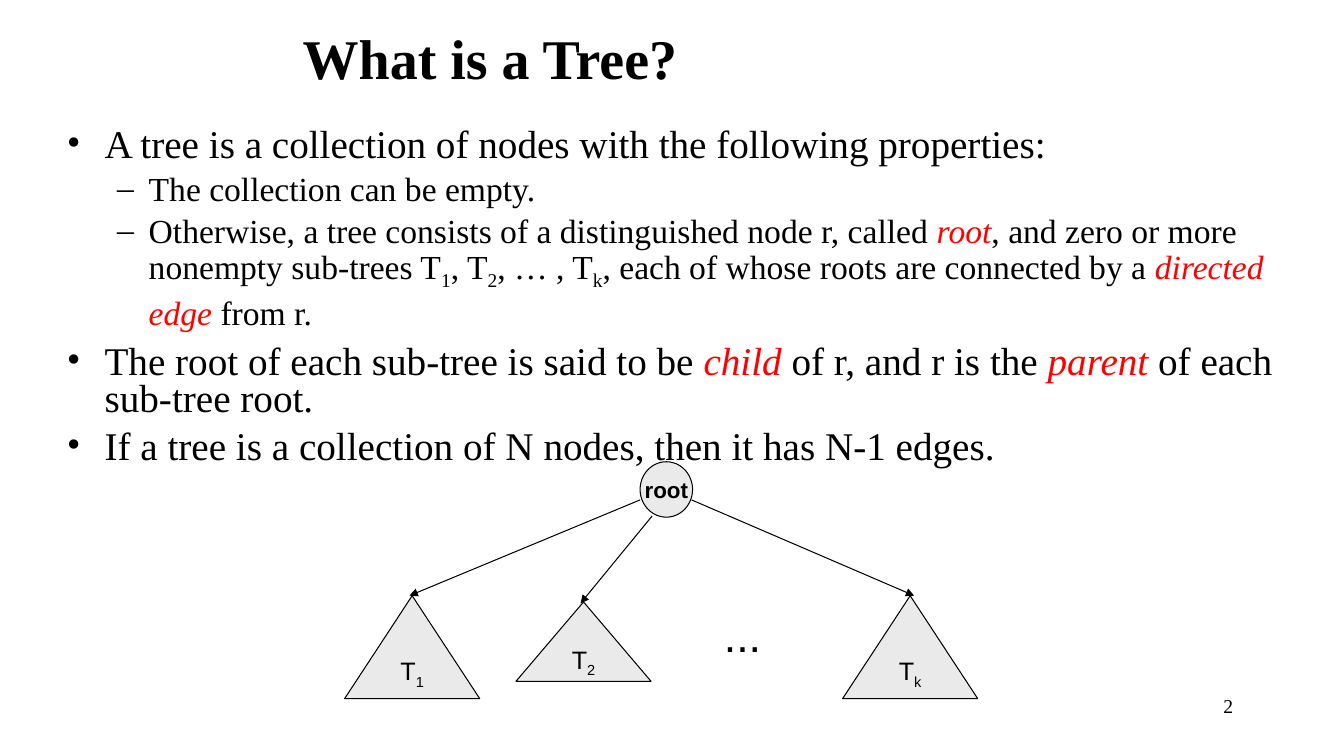
from dataclasses import dataclass

from lxml import etree
from pptx import Presentation
from pptx.dml.color import RGBColor
from pptx.enum.shapes import MSO_CONNECTOR, MSO_SHAPE
from pptx.enum.text import MSO_ANCHOR, MSO_AUTO_SIZE, PP_ALIGN
from pptx.oxml.ns import qn
from pptx.util import Pt

BLACK = RGBColor(0x00, 0x00, 0x00)
RED = RGBColor(0xFF, 0x00, 0x00)
GREY = RGBColor(0xEA, 0xEA, 0xEA)
SERIF, SANS = "Times New Roman", "Arial"
ELLIPSE, TRIANGLE = MSO_SHAPE.OVAL, MSO_SHAPE.ISOSCELES_TRIANGLE
STRAIGHT = MSO_CONNECTOR.STRAIGHT
CENTER, RIGHT, LEFT = PP_ALIGN.CENTER, PP_ALIGN.RIGHT, PP_ALIGN.LEFT
MIDDLE, TOP = MSO_ANCHOR.MIDDLE, MSO_ANCHOR.TOP
NO_AUTOFIT = MSO_AUTO_SIZE.NONE


@dataclass(frozen=True)
class Piece:
    text: str
    term: bool = False
    subscript: bool = False
    size: float | None = None


@dataclass(frozen=True)
class Level:
    bullet: str
    size: float
    margin: float
    indent: float


@dataclass(frozen=True)
class Node:
    preset: int
    box: tuple[float, float, float, float]
    label: tuple[Piece, ...]
    size: float
    bold: bool = False


@dataclass(frozen=True)
class Edge:
    start: tuple[float, float]
    end: tuple[float, float]


LEVELS = (Level("•", 28, 27, -27), Level("–", 24, 58.5, -22.5))

BODY = (
    (0, (Piece("A tree is a collection of nodes with the following properties:"),)),
    (1, (Piece("The collection can be empty."),)),
    (1, (
        Piece("Otherwise, a tree consists of a distinguished node r, called "),
        Piece("root", term=True),
        Piece(", and zero or more nonempty sub-trees T"),
        Piece("1", subscript=True),
        Piece(", T"),
        Piece("2", subscript=True),
        Piece(", … , T"),
        Piece("k", subscript=True),
        Piece(", each of whose roots are connected by a "),
        Piece("directed edge ", term=True),
        Piece("from r."),
        Piece(" ", size=36),
    )),
    (0, (
        Piece("The root of each sub-tree is said to be "),
        Piece("child", term=True),
        Piece(" of r, and r is the "),
        Piece("parent ", term=True),
        Piece("of each sub-tree root."),
    )),
    (0, (Piece("If a tree is a collection of N nodes, then it has N-1 edges."),)),
)


def subtree(name: str, left: float, top: float, height: float) -> Node:
    label = (Piece("T"), Piece(name, subscript=True))
    return Node(TRIANGLE, (left, top, 96.5, height), label, 18)


NODES = (
    Node(ELLIPSE, (457.2, 329.8, 37.5, 39.6), (Piece("root"),), 16, bold=True),
    subtree("1", 246.2, 425.5, 73.5),
    subtree("2", 368.6, 430, 56.7),
    subtree("k", 601.9, 425.5, 73.5),
)
EDGES = (
    Edge((457.2, 357.1), (292.5, 425.5)),
    Edge((465.8, 368.6), (414.7, 431)),
    Edge((494, 357.1), (653, 425.5)),
)


def place(shape, box: tuple[float, float, float, float]) -> None:
    shape.left, shape.top, shape.width, shape.height = map(Pt, box)


def write(paragraph, pieces: tuple[Piece, ...], *, size: float,
          font: str = SERIF, bold: bool = False, align=LEFT) -> None:
    paragraph.alignment = align
    for piece in pieces:
        run = paragraph.add_run()
        run.text = piece.text
        run.font.name = font
        run.font.size = Pt(piece.size or size)
        run.font.bold = bold
        run.font.italic = piece.term
        run.font.color.rgb = RED if piece.term else BLACK
        if piece.subscript:
            run.font._element.set("baseline", "-25000")


def prepare_frame(shape, *, anchor=TOP, wrap: bool = True):
    frame = shape.text_frame
    frame.auto_size = NO_AUTOFIT
    frame.word_wrap = wrap
    frame.vertical_anchor = anchor
    return frame


def set_bullet(paragraph, level: Level) -> None:
    properties = paragraph._p.get_or_add_pPr()
    properties.set("marL", str(Pt(level.margin)))
    properties.set("indent", str(Pt(level.indent)))
    etree.SubElement(properties, qn("a:buFont")).set("typeface", SERIF)
    etree.SubElement(properties, qn("a:buChar")).set("char", level.bullet)


def fill_body(placeholder) -> None:
    frame = prepare_frame(placeholder)
    for index, (depth, pieces) in enumerate(BODY):
        paragraph = frame.add_paragraph() if index else frame.paragraphs[0]
        paragraph.level = depth
        set_bullet(paragraph, LEVELS[depth])
        paragraph.line_spacing = 0.8
        paragraph.space_before = Pt(7 if index else 0)
        write(paragraph, pieces, size=LEVELS[depth].size)


def add_label(shapes, text: str, box: tuple[float, float, float, float], *,
              size: float, font: str, align=LEFT, wrap: bool = True) -> None:
    shape = shapes.add_textbox(*map(Pt, box))
    frame = prepare_frame(shape, wrap=wrap)
    write(frame.paragraphs[0], (Piece(text),), size=size, font=font, align=align)


def add_node(shapes, node: Node) -> None:
    shape = shapes.add_shape(node.preset, *map(Pt, node.box))
    shape.shadow.inherit = False
    shape.fill.solid()
    shape.fill.fore_color.rgb = GREY
    shape.line.color.rgb = BLACK
    shape.line.width = Pt(0.75)
    frame = prepare_frame(shape, anchor=MIDDLE, wrap=False)
    write(frame.paragraphs[0], node.label, size=node.size, font=SANS,
          bold=node.bold, align=CENTER)


def add_edge(shapes, edge: Edge) -> None:
    connector = shapes.add_connector(STRAIGHT, *map(Pt, edge.start + edge.end))
    connector.line.color.rgb = BLACK
    connector.line.width = Pt(0.75)
    etree.SubElement(connector.line._get_or_add_ln(), qn("a:tailEnd")).set("type", "triangle")
    etree.SubElement(connector._element.spPr, qn("a:effectLst"))


def main() -> None:
    presentation = Presentation()
    presentation.slide_width, presentation.slide_height = Pt(960), Pt(540)
    slide = presentation.slides.add_slide(presentation.slide_layouts[1])

    # Title and list
    title, body = slide.placeholders
    place(title, (44, 13.5, 612, 54))
    frame = prepare_frame(title, anchor=MIDDLE)
    write(frame.paragraphs[0], (Piece("What is a Tree?"),), size=40, bold=True, align=CENTER)
    place(body, (40.5, 88, 888, 216))
    fill_body(body)

    # Tree diagram
    diagram = slide.shapes.add_group_shape().shapes
    for node in NODES:
        add_node(diagram, node)
    for edge in EDGES:
        add_edge(diagram, edge)
    add_label(diagram, "...", (510, 430.5, 41, 45.5), size=32, font=SANS, wrap=False)

    # Slide number
    add_label(slide.shapes, "2", (688, 492, 200, 36), size=14, font=SERIF, align=RIGHT)

    presentation.save("out.pptx")


if __name__ == "__main__":
    main()
